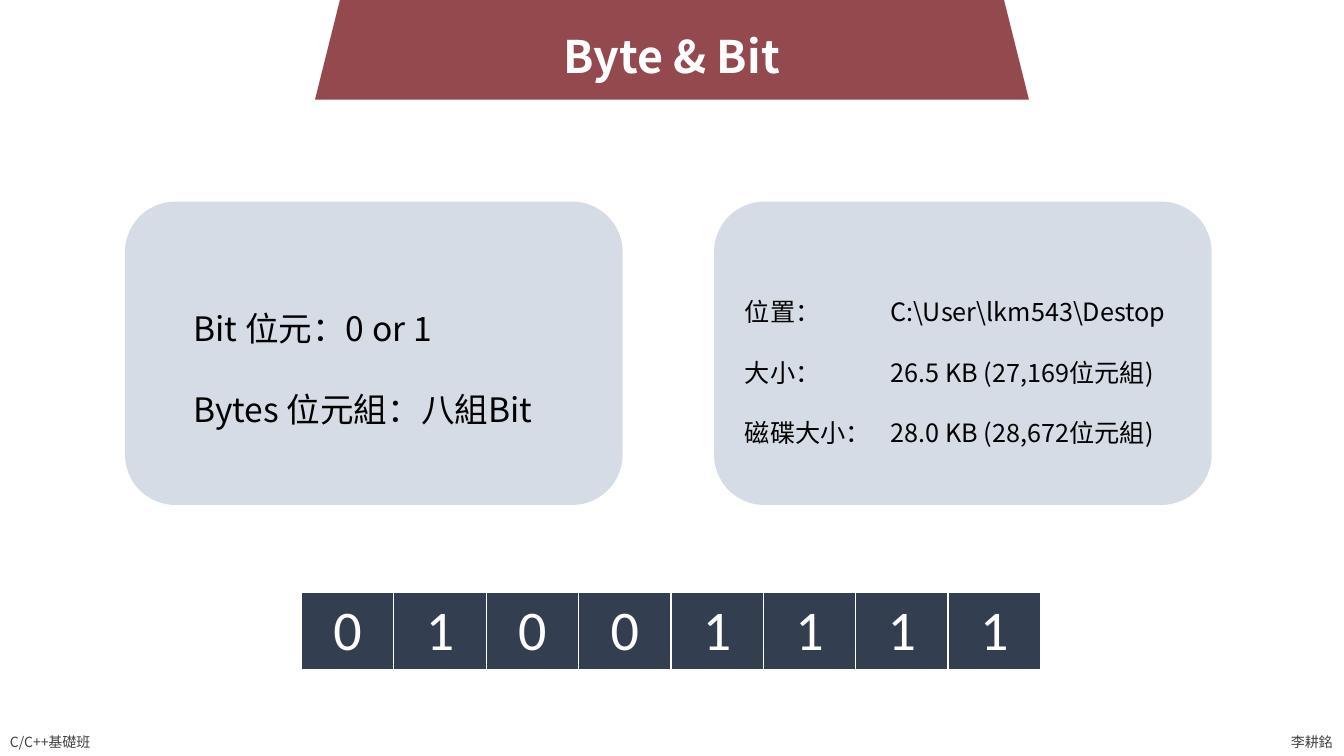
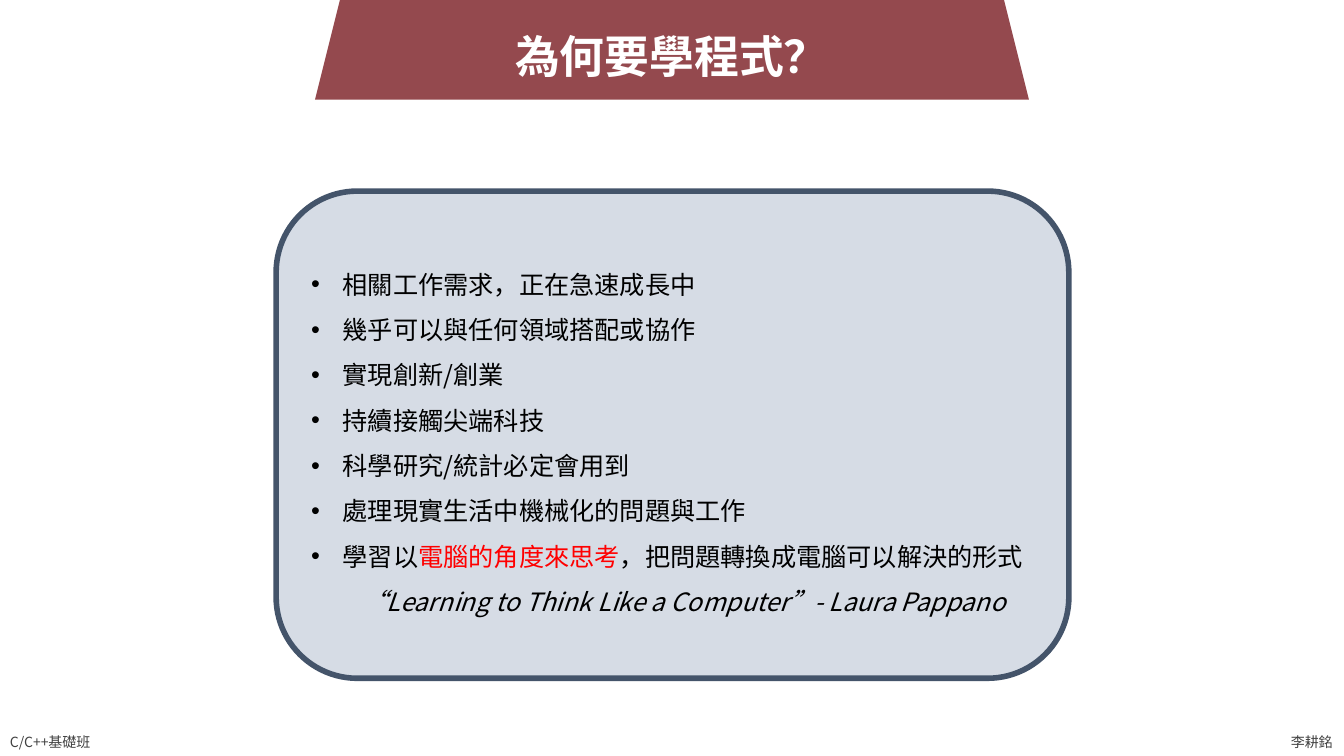
from lxml import etree
from pptx import Presentation
from pptx import util as u
from pptx.dml.color import RGBColor
from pptx.enum import shapes, text
from pptx.oxml.ns import qn

PX = 9525  # EMU in one px, 96 px to the inch
CJK = "Noto Sans CJK TC"
MAROON, PALE, SLATE, NAVY = "94494E", "D6DCE5", "44546A", "333F50"
WHITE, BLACK, GREY, RED = "FFFFFF", "000000", "404040", "FF0000"
color = RGBColor.from_string


def px(*lengths):
    return [u.Emu(n * PX) for n in lengths]


def write(frame, paragraphs, size, ink=BLACK, font=CJK, bold=False, align=text.PP_ALIGN.LEFT,
          spacing=1.0, bullet=None, indent=0, tab=None, italic=False):
    """Fill a frame; a paragraph is a string, a list of (text, ink) runs,
    or a dict of its runs and the formats that differ."""
    for i, content in enumerate(paragraphs):
        own = content if isinstance(content, dict) else {"runs": content}
        runs = own["runs"] if isinstance(own["runs"], list) else [(own["runs"], ink)]
        mark, margin = own.get("bullet", bullet), own.get("indent", indent)
        paragraph = frame.paragraphs[0] if i == 0 else frame.add_paragraph()
        paragraph.alignment = align
        paragraph.line_spacing = spacing
        paragraph.level = own.get("level", 0)
        props = paragraph._p.get_or_add_pPr()
        if margin:
            props.set("marL", str(margin * PX))
            props.set("indent", str(-margin * PX if mark else 0))
        if mark:
            etree.SubElement(props, qn("a:buFont"), typeface="Arial")
            etree.SubElement(props, qn("a:buChar"), char=mark)
        if tab:
            stops = etree.SubElement(props, qn("a:tabLst"))
            etree.SubElement(stops, qn("a:tab"), pos=str(tab * PX), algn="l")
        for words, run_ink in runs:
            run = paragraph.add_run()
            run.text = words
            run.font.size = u.Pt(size)
            run.font.bold = bold
            run.font.italic = own.get("italic", italic)
            run.font.color.rgb = color(run_ink)
            run.font.name = font
            etree.SubElement(run.font._element, qn("a:ea"), typeface=font)


deck = Presentation()
deck.slide_width, deck.slide_height = px(1280, 720)
title_only = deck.slide_layouts[5]

# Parts that both slides share: band, title, panels, footers
topics = [
    ("Byte & Bit", [(119, 192, 474, 289), (680, 192, 474, 289)], None),
    ("為何要學程式？", [(263, 182, 755, 464)], SLATE),
]
footers = [("C/C++基礎班", 0, 103), ("李耕銘", 1220, 60)]
pages = []
for heading, panels, border in topics:
    page = deck.slides.add_slide(title_only)
    pages.append(page)

    title = page.shapes.title
    title.left, title.top, title.width, title.height = px(300, 22, 680, 61)
    title.text_frame.auto_size = text.MSO_AUTO_SIZE.NONE
    title.text_frame.vertical_anchor = text.MSO_ANCHOR.MIDDLE
    write(title.text_frame, [heading], 32, ink=WHITE, bold=True, align=text.PP_ALIGN.CENTER)

    blocks = [(shapes.MSO_SHAPE.TRAPEZOID, (300, -22, 680, 117), MAROON, None)]
    blocks += [(shapes.MSO_SHAPE.ROUNDED_RECTANGLE, box, PALE, border) for box in panels]
    for kind, box, fill, edge in blocks:
        block = page.shapes.add_shape(kind, *px(*box))
        block.shadow.inherit = False
        block.fill.solid()
        block.fill.fore_color.rgb = color(fill)
        if edge:
            block.line.color.rgb = color(edge)
            block.line.width = u.Pt(4)
        else:
            block.line.fill.background()
        title.element.addprevious(block.element)  # keep the title in front

    for label, left, width in footers:
        footer = page.shapes.add_textbox(*px(left, 694, width, 26))
        write(footer.text_frame, [label], 10, ink=GREY)

units_page, reasons_page = pages

# Definitions and file size
definitions = units_page.shapes.add_textbox(*px(175, 250, 365, 153)).text_frame
definitions.word_wrap = True
write(definitions, ["Bit 位元：0 or 1", "Bytes 位元組：八組Bit"], 24, spacing=2.0)

file_size = units_page.shapes.add_textbox(*px(700, 249, 435, 176)).text_frame
file_size.word_wrap = True
write(file_size, [
    "位置：\tC:\\User\\lkm543\\Destop",
    "大小：\t26.5 KB (27,169位元組)",
    "磁碟大小：\t28.0 KB (28,672位元組)",
], 18, spacing=2.0, tab=139)

# One byte as eight bits
bits = "01001111"
byte = units_page.shapes.add_table(1, len(bits), *px(287, 564, 88 * len(bits), 74)).table
for column, bit in enumerate(bits):
    cell = byte.cell(0, column)
    cell.fill.solid()
    cell.fill.fore_color.rgb = color(NAVY)
    write(cell.text_frame, [bit], 40, ink=WHITE, font="Calibri", align=text.PP_ALIGN.CENTER)

# Reasons to learn programming
reasons = reasons_page.shapes.add_textbox(*px(287, 237, 707, 353)).text_frame
reasons.word_wrap = True
write(reasons, [
    "相關工作需求，正在急速成長中",
    "幾乎可以與任何領域搭配或協作",
    "實現創新/創業",
    "持續接觸尖端科技",
    "科學研究/統計必定會用到",
    "處理現實生活中機械化的問題與工作",
    [("學習以", BLACK), ("電腦的角度來思考", RED), ("，把問題轉換成電腦可以解決的形式", BLACK)],
    {"runs": "“Learning to Think Like a Computer”- Laura Pappano",
     "level": 1, "bullet": None, "indent": 48, "italic": True},
], 18, spacing=1.5, bullet="•", indent=30)

deck.save("out.pptx")
